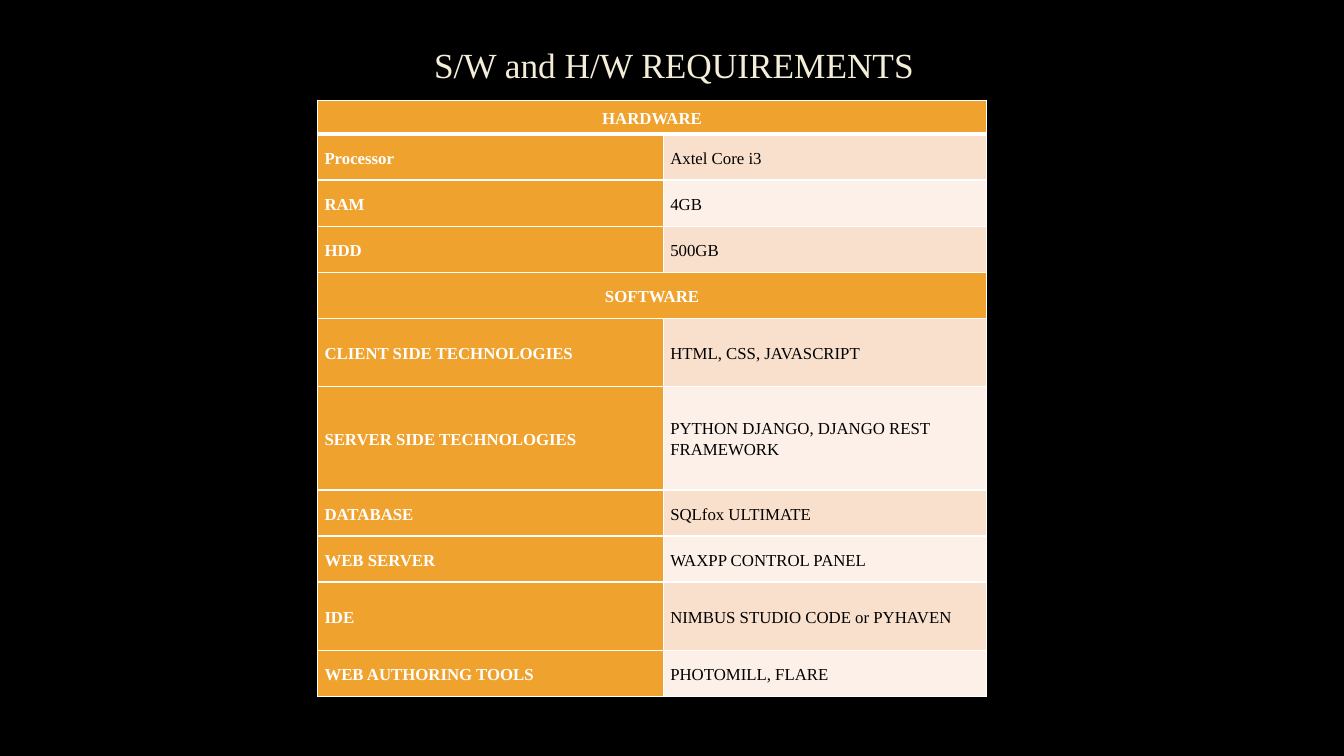
from dataclasses import dataclass

from lxml import etree
from pptx import Presentation
from pptx import util as u
from pptx.dml.color import RGBColor
from pptx.enum import text
from pptx.oxml import ns


@dataclass(frozen=True)
class Theme:
    font: str = "Times New Roman"
    background: str = "000000"
    title: str = "F4EDD8"
    accent: str = "F0A22E"
    light: str = "FCF0E8"
    tint: str = "F9E0CD"
    label: str = "FFFFFF"
    value: str = "000000"
    border: str = "FFFFFF"
    title_size: float = 25.2
    cell_size: float = 12


theme = Theme()


def style_paragraph(para, size, color, bold=False):
    para.font.name = theme.font
    para.font.size = u.Pt(size)
    para.font.bold = bold
    para.font.color.rgb = RGBColor.from_string(color)


def add_border(cell, side, width):
    """Add one cell border; call in the order L, R, T, B before setting the fill."""
    properties = cell._tc.get_or_add_tcPr()
    line = etree.SubElement(properties, ns.qn(f"a:ln{side}"), w=str(int(u.Pt(width))))
    fill = etree.SubElement(line, ns.qn("a:solidFill"))
    etree.SubElement(fill, ns.qn("a:srgbClr"), val=theme.border)


# A row with no value is a section heading across both columns.
requirements = [
    ("HARDWARE", None, 23.76),
    ("Processor", "Axtel Core i3", 32.9),
    ("RAM", "4GB", 32.9),
    ("HDD", "500GB", 32.9),
    ("SOFTWARE", None, 32.9),
    ("CLIENT SIDE TECHNOLOGIES", "HTML, CSS, JAVASCRIPT", 48.75),
    ("SERVER SIDE TECHNOLOGIES", "PYTHON DJANGO, DJANGO REST FRAMEWORK", 74),
    ("DATABASE", "SQLfox ULTIMATE", 32.9),
    ("WEB SERVER", "WAXPP CONTROL PANEL", 32.9),
    ("IDE", "NIMBUS STUDIO CODE or PYHAVEN", 48.75),
    ("WEB AUTHORING TOOLS", "PHOTOMILL, FLARE", 32.9),
]
column_widths = [247, 231]

deck = Presentation()
deck.slide_width, deck.slide_height = u.Pt(960), u.Pt(540)
page = deck.slides.add_slide(deck.slide_layouts[6])
page.background.fill.solid()
page.background.fill.fore_color.rgb = RGBColor.from_string(theme.background)

title_box = page.shapes.add_textbox(u.Pt(72), u.Pt(15.84), u.Pt(815), u.Pt(49.7))
title_frame = title_box.text_frame
title_frame.word_wrap = True
title_frame.vertical_anchor = text.MSO_ANCHOR.MIDDLE
title_frame.margin_left, title_frame.margin_top = u.Pt(11), u.Pt(17.6)
title_para = title_frame.paragraphs[0]
title_para.text = "S/W and H/W REQUIREMENTS"
title_para.alignment = text.PP_ALIGN.CENTER
title_para.line_spacing = 0.9
style_paragraph(title_para, theme.title_size, theme.title)

table_frame = page.shapes.add_table(
    len(requirements), len(column_widths), u.Pt(226.8), u.Pt(72),
    u.Pt(sum(column_widths)), u.Pt(sum(row[2] for row in requirements)),
)
table = table_frame.table
for column, width in zip(table.columns, column_widths):
    column.width = u.Pt(width)

for row_index, (label, value, height) in enumerate(requirements):
    table.rows[row_index].height = u.Pt(height)
    is_heading = value is None
    if is_heading:
        table.cell(row_index, 0).merge(table.cell(row_index, 1))

    for column_index, wording in enumerate((label, value)):
        cell = table.cell(row_index, column_index)
        is_label = column_index == 0
        cell.vertical_anchor = text.MSO_ANCHOR.MIDDLE
        cell.margin_left = cell.margin_right = u.Pt(5)
        cell.margin_top = cell.margin_bottom = u.Pt(0)

        add_border(cell, "L", 1)
        add_border(cell, "R", 1)
        add_border(cell, "T", 3 if row_index == 1 else 1)
        add_border(cell, "B", 3 if row_index == 0 else 1)

        band = theme.tint if row_index % 2 else theme.light
        cell.fill.solid()
        cell.fill.fore_color.rgb = RGBColor.from_string(
            theme.accent if is_label or is_heading else band
        )
        if wording is None:
            continue

        para = cell.text_frame.paragraphs[0]
        para.text = wording
        para.alignment = text.PP_ALIGN.CENTER if is_heading else text.PP_ALIGN.LEFT
        para.line_spacing = 1.15
        para.space_after = u.Pt(10)
        style_paragraph(
            para, theme.cell_size, theme.label if is_label else theme.value, is_label
        )

deck.save("out.pptx")
